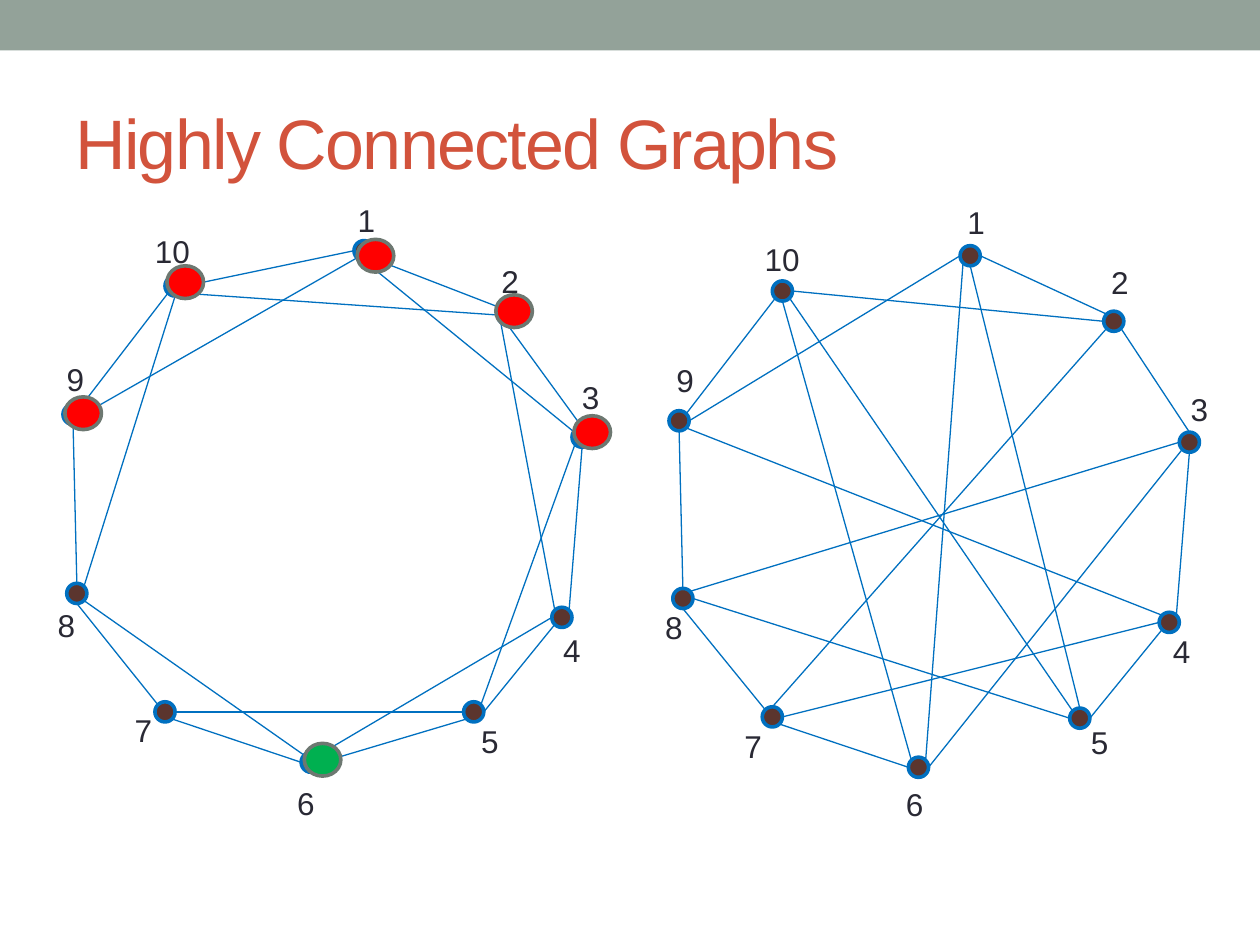
from math import sqrt

from lxml import etree
from pptx import Presentation
from pptx.dml.color import RGBColor
from pptx.enum.shapes import MSO_CONNECTOR as Connector, MSO_SHAPE as Shape
from pptx.enum.text import MSO_ANCHOR as Anchor, MSO_AUTO_SIZE as AutoSize
from pptx.oxml.ns import qn
from pptx.util import Inches, Pt

SAGE = RGBColor(0x93, 0xA2, 0x99)
RUST = RGBColor(0xD2, 0x53, 0x3C)
INK = RGBColor(0x29, 0x29, 0x34)
BROWN = RGBColor(0x5B, 0x35, 0x2E)
BLUE = RGBColor(0x00, 0x70, 0xC0)
RED = RGBColor(0xFF, 0x00, 0x00)
GREEN = RGBColor(0x00, 0xB0, 0x50)
GRAY = RGBColor(0x6D, 0x78, 0x71)

WIDTH, HEIGHT = 10, 7.5
NODE = 0.16
MARKER = (0.29, 0.26)
OUTLINE, EDGE = 2.08, 0.75

TITLE = "Highly Connected Graphs"

GRAPHS = [
    {
        "nodes": {
            1: (2.89, 1.99), 2: (4.03, 2.5), 3: (4.62, 3.47), 4: (4.46, 4.9),
            5: (3.76, 5.65), 6: (2.47, 6.05), 7: (1.31, 5.65), 8: (0.61, 4.71),
            9: (0.58, 3.29), 10: (1.39, 2.27),
        },
        "labels": {
            1: (2.74, 1.55), 2: (3.88, 2.03), 3: (4.52, 2.95), 4: (4.37, 4.96),
            5: (3.72, 5.68), 6: (2.26, 6.17), 7: (0.97, 5.59), 8: (0.36, 4.76),
            9: (0.43, 2.81), 10: (1.13, 1.79),
        },
        "edges": [
            (1, "SE", 2, "NW"), (10, "E", 1, "W"), (1, "S", 3, "SE"),
            (10, "SE", 2, "W"), (1, "SW", 9, "E"), (10, "S", 8, "NE"),
            (9, "S", 8, "N"), (8, "S", 7, "NW"), (8, "SE", 6, "NW"),
            (10, "SW", 9, "NE"), (7, "E", 5, "W"), (4, "SW", 5, "E"),
            (5, "NE", 3, "SW"), (4, "NE", 3, "S"), (2, "SW", 4, "NW"),
            (2, "S", 3, "N"), (6, "NE", 4, "W"), (6, "W", 7, "SE"),
            (5, "SW", 6, "E"),
        ],
    },
    {
        "nodes": {
            1: (7.7, 2.03), 2: (8.84, 2.55), 3: (9.44, 3.51), 4: (9.28, 4.94),
            5: (8.57, 5.7), 6: (7.29, 6.09), 7: (6.13, 5.69), 8: (5.42, 4.75),
            9: (5.39, 3.34), 10: (6.21, 2.31),
        },
        "labels": {
            1: (7.58, 1.56), 2: (8.72, 2.04), 3: (9.35, 3.05), 4: (9.21, 4.97),
            5: (8.56, 5.69), 6: (7.09, 6.18), 7: (5.81, 5.72), 8: (5.18, 4.78),
            9: (5.27, 2.82), 10: (5.97, 1.86),
        },
        "edges": [
            (1, "E", 2, "NW"), (6, "NE", 1, "SW"), (1, "W", 9, "E"),
            (10, "S", 6, "NW"), (1, "S", 5, "N"), (10, "E", 2, "W"),
            (9, "S", 8, "N"), (8, "S", 7, "NW"), (8, "NE", 3, "W"),
            (10, "SW", 9, "NE"), (8, "E", 5, "W"), (4, "SW", 5, "E"),
            (7, "N", 2, "SW"), (4, "NE", 3, "S"), (7, "E", 4, "W"),
            (2, "SE", 3, "N"), (6, "E", 3, "SW"), (6, "W", 7, "SE"),
            (5, "NW", 10, "SE"), (9, "SE", 4, "NW"),
        ],
    },
]

MARKERS = [
    ((2.98, 2.03), RED), ((1.47, 2.24), RED), ((4.08, 2.47), RED),
    ((4.7, 3.43), RED), ((0.66, 3.28), RED), ((2.56, 6.03), GREEN),
]


def add_text(slide, text, box, size, color, spacing=0, **frame_format):
    frame = slide.shapes.add_textbox(*map(Inches, box)).text_frame
    frame.word_wrap = True
    for option, value in frame_format.items():
        setattr(frame, option, value)
    run = frame.paragraphs[0].add_run()
    run.text = text
    run.font.name, run.font.size = "Arial", Pt(size)
    run.font.color.rgb = color
    if spacing:
        run.font._element.set("spc", str(spacing * 100))


def add_filled(slide, kind, box, fill, line=None):
    shape = slide.shapes.add_shape(kind, *map(Inches, box))
    shape.shadow.inherit = False
    shape.fill.solid()
    shape.fill.fore_color.rgb = fill
    if line is None:
        shape.line.fill.background()
    else:
        shape.line.color.rgb = line
        shape.line.width = Pt(OUTLINE)


def add_dot(slide, center, width, height, fill, line):
    x, y = center
    box = (x - width / 2, y - height / 2, width, height)
    add_filled(slide, Shape.OVAL, box, fill, line)


def rim(center, compass):
    dx = ("E" in compass) - ("W" in compass)
    dy = ("S" in compass) - ("N" in compass)
    reach = NODE / 2 / sqrt(len(compass))
    return center[0] + dx * reach, center[1] + dy * reach


def add_edge(slide, start, end):
    edge = slide.shapes.add_connector(Connector.STRAIGHT, *map(Inches, start + end))
    edge.line.color.rgb = BLUE
    edge.line.width = Pt(EDGE)
    etree.SubElement(edge._element.spPr, qn("a:effectLst"))


def add_graph(slide, nodes, labels, edges):
    for center in nodes.values():
        add_dot(slide, center, NODE, NODE, BROWN, BLUE)
    for start, start_side, end, end_side in edges:
        add_edge(slide, rim(nodes[start], start_side), rim(nodes[end], end_side))
    for number, (left, top) in labels.items():
        width = 0.29 if number < 10 else 0.62
        add_text(slide, str(number), (left, top, width, 0.4), 18, INK,
                 auto_size=AutoSize.SHAPE_TO_FIT_TEXT)


def main():
    deck = Presentation()
    deck.slide_width, deck.slide_height = Inches(WIDTH), Inches(HEIGHT)
    slide = deck.slides.add_slide(deck.slide_layouts[6])
    add_filled(slide, Shape.RECTANGLE, (0, 0, WIDTH, 0.4), SAGE)
    add_text(slide, TITLE, (0.5, 0.58, 9, 1.08), 40, RUST, spacing=-1,
             vertical_anchor=Anchor.MIDDLE)
    for graph in GRAPHS:
        add_graph(slide, **graph)
    for center, fill in MARKERS:
        add_dot(slide, center, *MARKER, fill, GRAY)
    deck.save("out.pptx")


if __name__ == "__main__":
    main()
